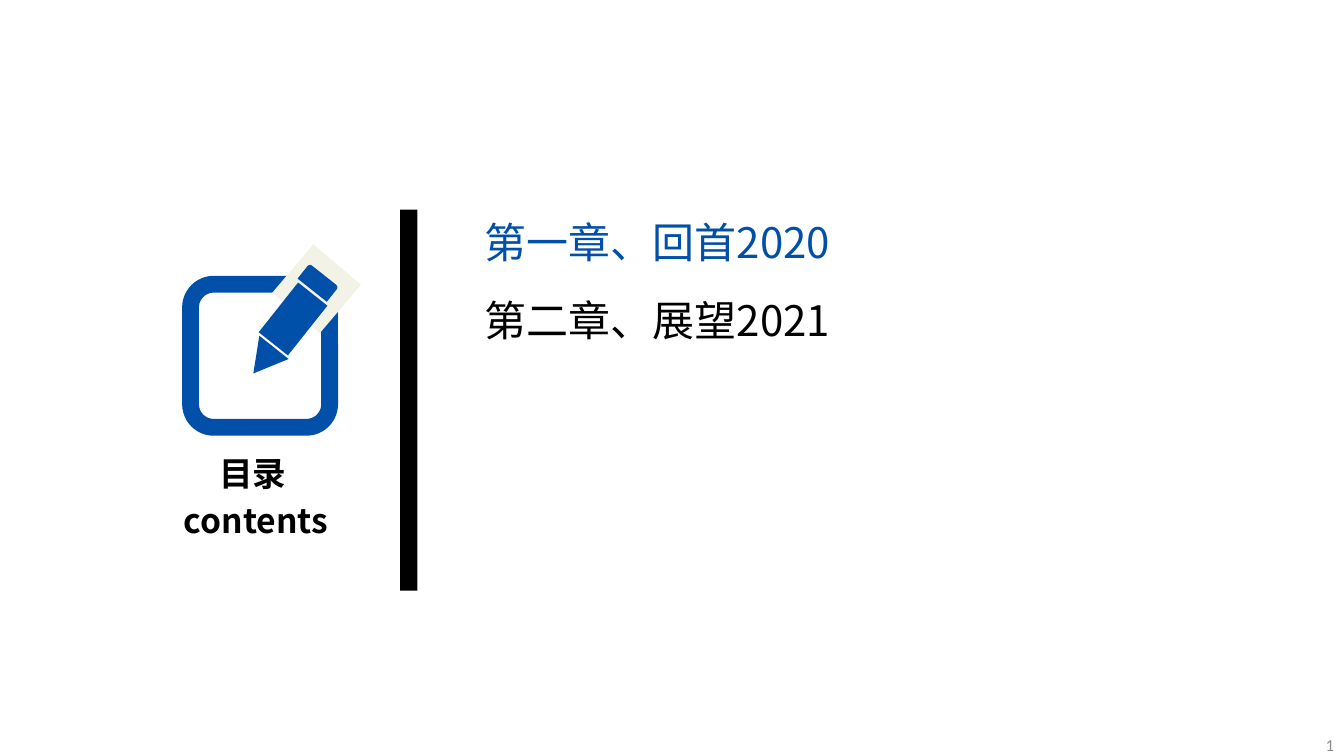
"""Build a contents slide with a pencil icon, a divider and two chapter titles."""
from lxml.etree import SubElement
from pptx import Presentation
from pptx.dml.color import RGBColor
from pptx.enum.shapes import MSO_SHAPE as Shape
from pptx.enum.text import MSO_ANCHOR as Anchor, PP_ALIGN as Align
from pptx.oxml.ns import qn
from pptx.util import Inches, Pt

BLUE, BLACK, CREAM, GREY = "004FA8", "000000", "F2F2E6", "8C8C8C"
SANS = "Noto Sans CJK SC"
color = RGBColor.from_string

deck = Presentation()
deck.slide_width, deck.slide_height = Inches(13.33), Inches(7.5)
page = deck.slides.add_slide(deck.slide_layouts[6])


def place(left, top, width, height):
    """Turn percentages of the slide's size into lengths."""
    across, down = deck.slide_width / 100, deck.slide_height / 100
    return int(left * across), int(top * down), int(width * across), int(height * down)


def add_label(words, area, size, ink, align, bold=False, font=SANS):
    """Add one line of text and return its frame."""
    frame = page.shapes.add_textbox(*place(*area)).text_frame
    frame.word_wrap = True
    para = frame.paragraphs[0]
    para.alignment = align
    span = para.add_run()
    span.text = words
    span.font.size, span.font.bold, span.font.name = Pt(size), bold, font
    span.font.color.rgb = color(ink)
    SubElement(span.font._element, qn("a:ea"), typeface=font)
    return frame


icon = page.shapes.add_group_shape()
frame_box = icon.shapes.add_shape(Shape.ROUNDED_RECTANGLE, *place(14.18, 37.6, 10.35, 18.93))
frame_box.shadow.inherit = False
frame_box.fill.background()
frame_box.line.color.rgb = color(BLUE)
frame_box.line.width = Pt(12)

solids = [
    (icon, Shape.RECTANGLE, (21.23, 34, 4.65, 8.4), 40.3, CREAM),
    (icon, Shape.ROUND_2_SAME_RECTANGLE, (22.28, 36.13, 2.78, 2.53), 38.4, BLUE),
    (icon, Shape.RECTANGLE, (20.41, 38, 2.78, 8.4), 38.4, BLUE),
    (icon, Shape.ISOSCELES_TRIANGLE, (18.23, 45.47, 2.78, 4.4), 218.4, BLUE),
    (page, Shape.RECTANGLE, (29.78, 27.73, 1.28, 50.4), 0, BLACK),
]
for parent, kind, area, turn, fill in solids:
    solid = parent.shapes.add_shape(kind, *place(*area))
    solid.rotation = turn
    solid.shadow.inherit = False
    solid.fill.solid()
    solid.fill.fore_color.rgb = color(fill)
    solid.line.fill.background()

add_label("目录", (13.65, 59.2, 10.35, 6.67), 24, BLACK, Align.CENTER, bold=True)
add_label("contents", (11.63, 65.47, 14.85, 6.67), 24, BLACK, Align.CENTER, bold=True)

chapters = [("第一章、回首2020", BLUE), ("第二章、展望2021", BLACK)]
for row, (title, ink) in enumerate(chapters):
    add_label(title, (35.33, 28 + 10.27 * row, 53.79, 8), 30, ink, Align.LEFT)

number = add_label("1", (93.7, 97.07, 6.3, 2.93), 12, GREY, Align.RIGHT, font="Calibri")
number.vertical_anchor = Anchor.MIDDLE

deck.save("out.pptx")
